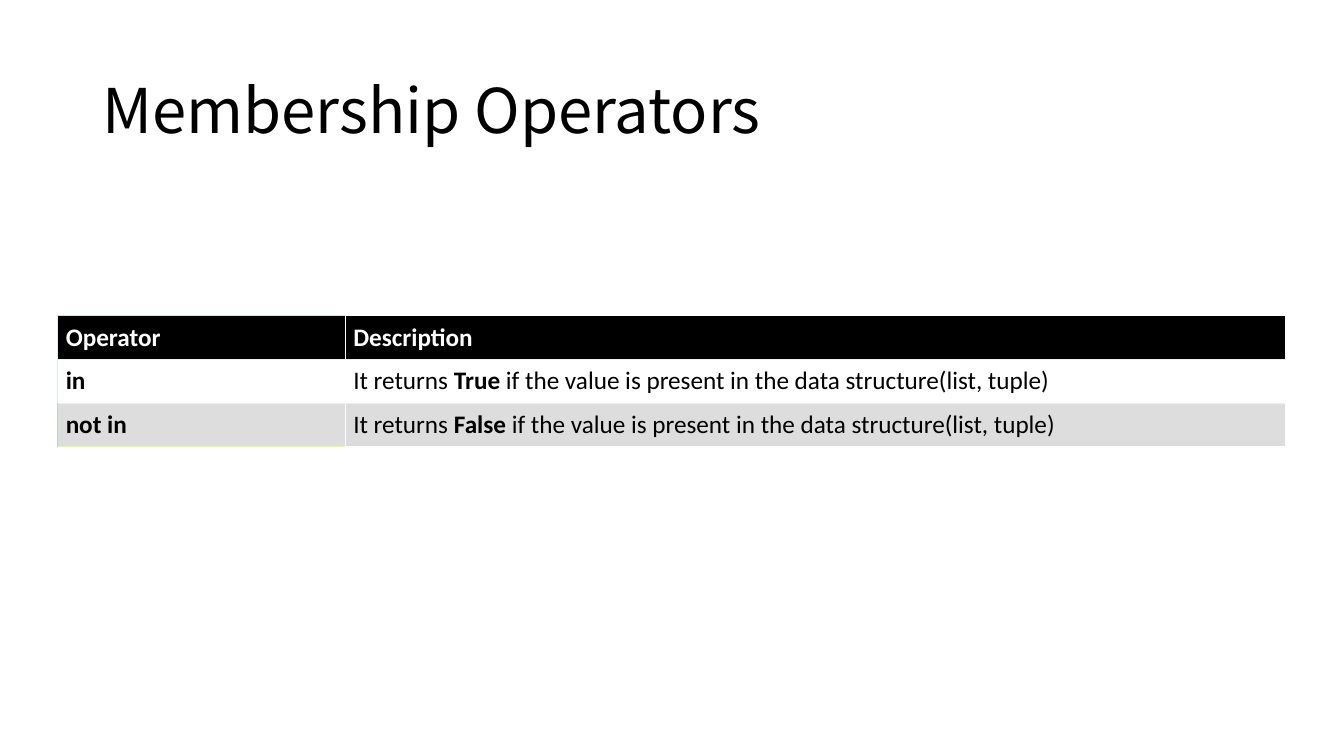
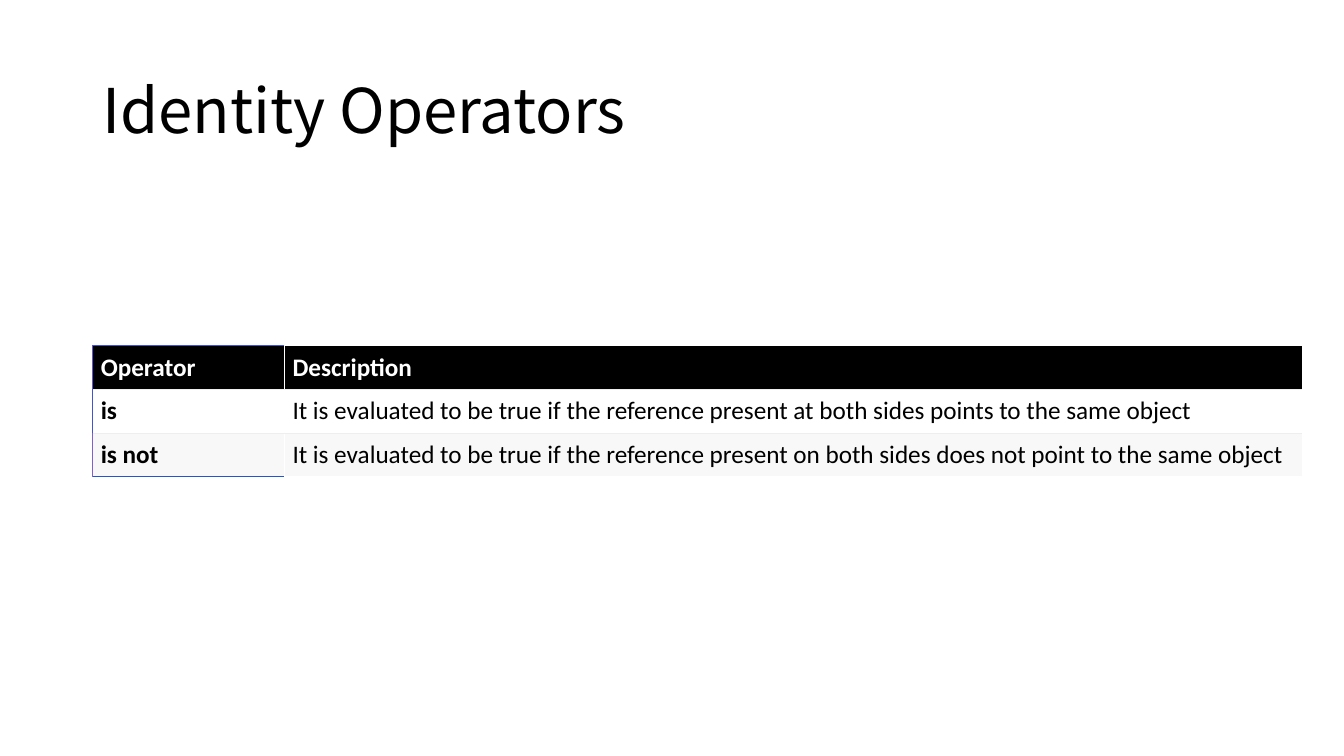
"""Build two slides that explain the membership and identity operators of Python."""
import lxml.etree
import pptx
import pptx.dml.color
import pptx.enum.text
import pptx.oxml.ns
import pptx.util

Pt = pptx.util.Pt
MIDDLE = pptx.enum.text.MSO_ANCHOR.MIDDLE

BLACK, WHITE, RULE = "000000", "FFFFFF", "EEEEEE"
TITLE_FONT, TABLE_FONT = "Noto Sans CJK KR", "Calibri"
TITLE_BOX = (66, 28.75, 828, 104.4)
ROW_HEIGHT, CELL_INSET_X, CELL_INSET_Y, BORDER = 31.2, 6, 4.6, 0.6
HEADER = ("Operator", ["Description"])

SLIDES = [
    {
        "title": "Membership Operators",
        "origin": (41, 225.5),
        "columns": (205.4, 671.6),
        "shade": "DDDDDD",
        "left": ("E0F8BF", "E0F8BF", "80F4BF"),
        "top": "C0F3BF",
        "bottom": "E0F3BF",
        "rows": [
            ("in", ["It returns ", "True ", "if the value is present in the data structure(list, tuple)"]),
            ("not in", ["It returns ", "False ", "if the value is present in the data structure(list, tuple)"]),
        ],
    },
    {
        "title": "Identity Operators",
        "origin": (66, 247),
        "columns": (137, 727),
        "shade": "F8F8F8",
        "left": ("6053D4", "4054D4", "805ED4"),
        "top": "4054D4",
        "bottom": "2056D4",
        "rows": [
            ("is", ["It is evaluated to be true if the reference present at both sides "
                    "points to the same object"]),
            ("is not", ["It is evaluated to be true if the reference present on both sides "
                        "does not point to the same object"]),
        ],
    },
]


def color(value):
    return pptx.dml.color.RGBColor.from_string(value)


def add_span(para, text, font, size, ink, bold=False):
    span = para.add_run()
    span.text = text
    span.font.name = font
    span.font.size = Pt(size)
    span.font.bold = bold
    span.font.color.rgb = color(ink)


def add_title(page, text):
    box = page.shapes.add_textbox(*map(Pt, TITLE_BOX))
    frame = box.text_frame
    frame.word_wrap = True
    frame.vertical_anchor = MIDDLE
    para = frame.paragraphs[0]
    para.line_spacing = 0.9
    add_span(para, text, TITLE_FONT, 44, BLACK)


def set_borders(cell, left, right, top, bottom):
    properties = cell._tc.get_or_add_tcPr()
    for side, ink in zip("LRTB", (left, right, top, bottom)):
        line = lxml.etree.SubElement(properties, pptx.oxml.ns.qn("a:ln" + side), w=str(Pt(BORDER)))
        fill = lxml.etree.SubElement(line, pptx.oxml.ns.qn("a:solidFill"))
        lxml.etree.SubElement(fill, pptx.oxml.ns.qn("a:srgbClr"), val=ink)


def style_cell(cell, fill):
    cell.margin_left = cell.margin_right = Pt(CELL_INSET_X)
    cell.margin_top = cell.margin_bottom = Pt(CELL_INSET_Y)
    cell.vertical_anchor = MIDDLE
    cell.fill.solid()
    cell.fill.fore_color.rgb = color(fill)


def add_operator_table(page, content):
    rows = [HEADER] + content["rows"]
    widths = content["columns"]
    last = len(rows) - 1
    size = (sum(widths), ROW_HEIGHT * len(rows))
    table = page.shapes.add_table(len(rows), len(widths), *map(Pt, content["origin"] + size)).table
    table.first_row = table.horz_banding = False
    for column, width in zip(table.columns, widths):
        column.width = Pt(width)
    fills = (BLACK, WHITE, content["shade"])
    for r, (operator, description) in enumerate(rows):
        table.rows[r].height = Pt(ROW_HEIGHT)
        ink = BLACK if r else WHITE
        for c, pieces in enumerate(([operator], description)):
            cell = table.cell(r, c)
            left, top, bottom = WHITE, WHITE, WHITE
            if c == 0:
                left, top, bottom = content["left"][r], content["top"], content["bottom"]
            set_borders(cell, left, WHITE, RULE if r else top, bottom if r == last else RULE)
            style_cell(cell, fills[r])
            para = cell.text_frame.paragraphs[0]
            for i, piece in enumerate(pieces):
                bold = r == 0 or c == 0 or i % 2 == 1
                add_span(para, piece, TABLE_FONT, 18, ink, bold)


def main():
    deck = pptx.Presentation()
    deck.slide_width, deck.slide_height = Pt(960), Pt(540)
    for content in SLIDES:
        page = deck.slides.add_slide(deck.slide_layouts[6])
        add_title(page, content["title"])
        add_operator_table(page, content)
    deck.save("out.pptx")


if __name__ == "__main__":
    main()
